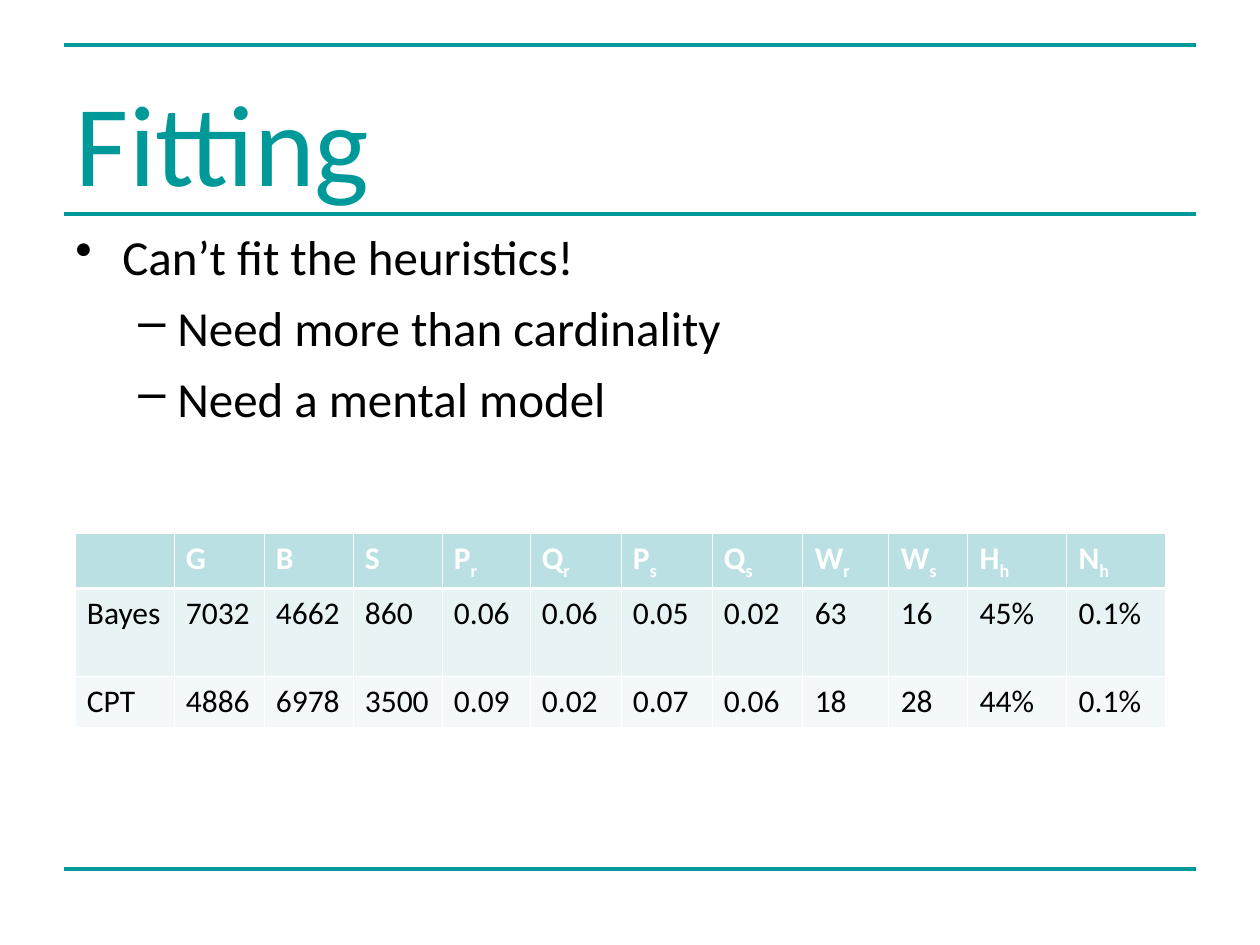
from lxml import etree
from pptx import Presentation, util as u
from pptx.dml.color import RGBColor
from pptx.enum import shapes, text
from pptx.oxml.ns import qn

PX = 914400 // 126
COLORS = {"teal": "009999", "ink": "000000", "white": "FFFFFF"}
FILLS = ["BBE0E3", "E7F3F4", "F3F9FA"]

TITLE = "Fitting"
POINTS = [
    (0, "Can’t fit the heuristics!"),
    (1, "Need more than cardinality"),
    (1, "Need a mental model"),
]
# Level: bullet, left margin px, hanging indent px
BULLETS = {0: ("•", 47, 47), 1: ("–", 102, 39)}
# An underscore marks the subscript that follows
ROWS = [
    ["", "G", "B", "S", "P_r", "Q_r", "P_s", "Q_s", "W_r", "W_s", "H_h", "N_h"],
    ["Bayes", "7032", "4662", "860", "0.06", "0.06", "0.05", "0.02",
     "63", "16", "45%", "0.1%"],
    ["CPT", "4886", "6978", "3500", "0.09", "0.02", "0.07", "0.06",
     "18", "28", "44%", "0.1%"],
]
WIDTHS = [99, 90, 89, 89, 88, 91, 91, 91, 86, 79, 99, 99]
HEIGHTS = [55, 88, 50]
RULES = [45, 214, 869]


def px(*nums):
    return [u.Emu(n * PX) for n in nums]


def rgb(name):
    return RGBColor.from_string(COLORS.get(name, name))


def style(font, size, color="ink", bold=False):
    font.name, font.size, font.bold = "Calibri", u.Pt(size), bold
    font.color.rgb = rgb(color)


def write(para, words, **look):
    """Add words to a paragraph, with any part after "_" as a subscript."""
    style(para.font, **look)
    for i, part in enumerate(words.split("_")):
        run = para.add_run()
        run.text = part
        style(run.font, **look)
        if i:
            run.font._element.set("baseline", "-25000")


def add_rule(slide, y):
    line = slide.shapes.add_connector(
        shapes.MSO_CONNECTOR.STRAIGHT, *px(64, y, 1196, y))
    line.line.color.rgb = rgb("teal")
    line.line.width = u.Pt(2)
    etree.SubElement(line._element.spPr, qn("a:effectLst"))


def add_title(slide):
    title = slide.shapes.title
    title.left, title.top, title.width, title.height = px(63, 86, 1134, 109)
    frame = title.text_frame
    frame.auto_size = text.MSO_AUTO_SIZE.NONE
    frame.vertical_anchor = text.MSO_ANCHOR.MIDDLE
    frame.margin_left = frame.margin_right = px(13)[0]
    frame.margin_top = frame.margin_bottom = 0
    para = frame.paragraphs[0]
    para.alignment = text.PP_ALIGN.LEFT
    write(para, TITLE, size=66, color="teal")


def add_points(slide):
    frame = slide.shapes.add_textbox(*px(63, 220, 1134, 624)).text_frame
    frame.word_wrap = True
    for i, (level, words) in enumerate(POINTS):
        para = frame.add_paragraph() if i else frame.paragraphs[0]
        para.level = level
        mark, left, hang = BULLETS[level]
        props = para._p.get_or_add_pPr()
        props.set("marL", str(left * PX))
        props.set("indent", str(-hang * PX))
        etree.SubElement(props, qn("a:buChar"), char=mark)
        if i:
            para.space_before = u.Pt(7)
        write(para, words, size=28)


def add_border(cell, side, width):
    line = etree.SubElement(cell._tc.get_or_add_tcPr(), qn("a:ln" + side),
                            w=str(u.Pt(width)))
    fill = etree.SubElement(line, qn("a:solidFill"))
    etree.SubElement(fill, qn("a:srgbClr"), val=COLORS["white"])


def add_grid(slide):
    table = slide.shapes.add_table(
        len(ROWS), len(WIDTHS),
        *px(75, 533, sum(WIDTHS), sum(HEIGHTS))).table
    for col, width in zip(table.columns, WIDTHS):
        col.width = px(width)[0]
    for r, row in enumerate(ROWS):
        table.rows[r].height = px(HEIGHTS[r])[0]
        head = r == 0
        for c, words in enumerate(row):
            cell = table.cell(r, c)
            cell.margin_left, cell.margin_right = px(12, 4)
            for side in "LRTB":
                thick = (r, side) in [(0, "B"), (1, "T")]
                add_border(cell, side, 1.47 if thick else 0.45)
            cell.fill.solid()
            cell.fill.fore_color.rgb = rgb(FILLS[r])
            if words:
                write(cell.text_frame.paragraphs[0], words, size=18,
                      color="white" if head else "ink", bold=head)


def main():
    deck = Presentation()
    deck.slide_width, deck.slide_height = px(1260, 945)
    slide = deck.slides.add_slide(deck.slide_layouts[5])
    for y in RULES:
        add_rule(slide, y)
    add_title(slide)
    add_points(slide)
    add_grid(slide)
    deck.save("out.pptx")


if __name__ == "__main__":
    main()
